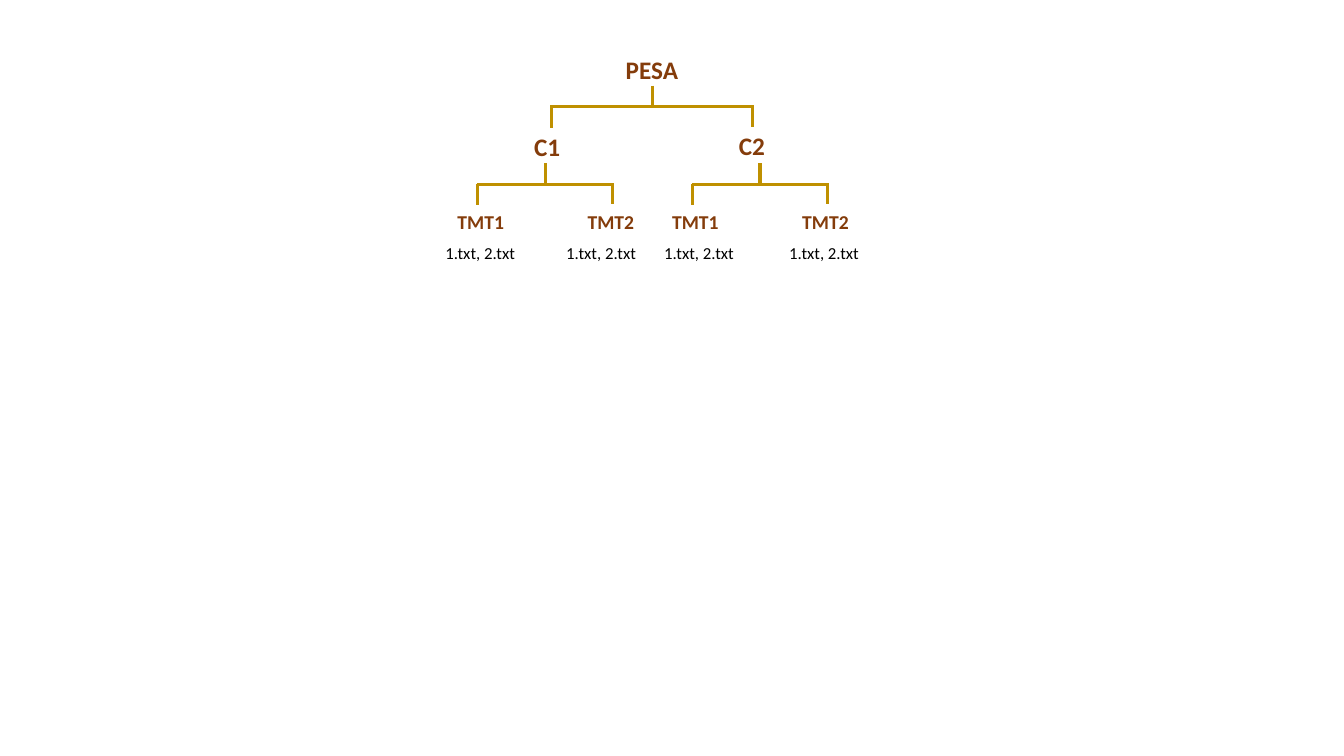
"""Build a slide with a folder tree of two classes and their subfolders."""
from lxml import etree
from pptx import Presentation
from pptx.dml.color import RGBColor
from pptx.enum.shapes import MSO_CONNECTOR
from pptx.enum.text import MSO_AUTO_SIZE
from pptx.oxml.ns import qn
from pptx.util import Pt

COLORS = {"node": "843C0B", "file": "000000", "branch": "BF9000"}
STYLES = {
    "class": {"size": Pt(18), "bold": True, "name": "Calibri"},
    "folder": {"size": Pt(14), "bold": True, "name": "Calibri"},
    "file": {"size": Pt(12), "bold": False, "name": "Calibri"},
}
STEM = 15.1


def add_label(s, text, style, color, x, y, w, h):
    sp = s.shapes.add_textbox(Pt(x), Pt(y), Pt(w), Pt(h))
    tf = sp.text_frame
    tf.word_wrap = True
    tf.auto_size = MSO_AUTO_SIZE.SHAPE_TO_FIT_TEXT
    r = tf.paragraphs[0].add_run()
    r.text = text
    for key, value in STYLES[style].items():
        setattr(r.font, key, value)
    r.font.color.rgb = RGBColor.from_string(COLORS[color])


def add_line(s, x1, y1, x2, y2):
    cn = s.shapes.add_connector(MSO_CONNECTOR.STRAIGHT, Pt(x1), Pt(y1), Pt(x2), Pt(y2))
    cn.line.width = Pt(2.25)
    cn.line.color.rgb = RGBColor.from_string(COLORS["branch"])
    etree.SubElement(cn._element.spPr, qn("a:effectLst"))


def add_branch(s, x, y, spread):
    bar = y + STEM
    add_line(s, x, y, x, bar)
    for side, drop in ((-1, bar), (1, bar - 0.8)):
        add_line(s, x, bar, x + side * (spread + 0.7), bar)
        add_line(s, x + side * spread, drop, x + side * spread, drop + STEM)


def main():
    prs = Presentation()
    prs.slide_width, prs.slide_height = Pt(960), Pt(540)
    s = prs.slides.add_slide(prs.slide_layouts[6])

    add_label(s, "PESA", "class", "node", 439.9, 35.3, 55.4, 28.8)
    add_branch(s, 465.8, 61.2, 72)

    for name, x, y in (("C1", 374.4, 90), ("C2", 520.6, 89.3)):
        add_label(s, name, "class", "node", x, y, 36.7, 28.8)
    for x in (389.5, 542.9):
        add_branch(s, x, 116.6, 48.2)

    for x in (319.7, 473):
        for i in range(2):
            add_label(s, f"TMT{i + 1}", "folder", "node", x + i * 92.9, 146.2, 66.2, 24.5)
    for x in (311, 397.4, 467.3, 556.6):
        add_label(s, "1.txt, 2.txt", "file", "file", x, 169.9, 69.1, 21.6)

    prs.save("out.pptx")


if __name__ == "__main__":
    main()
